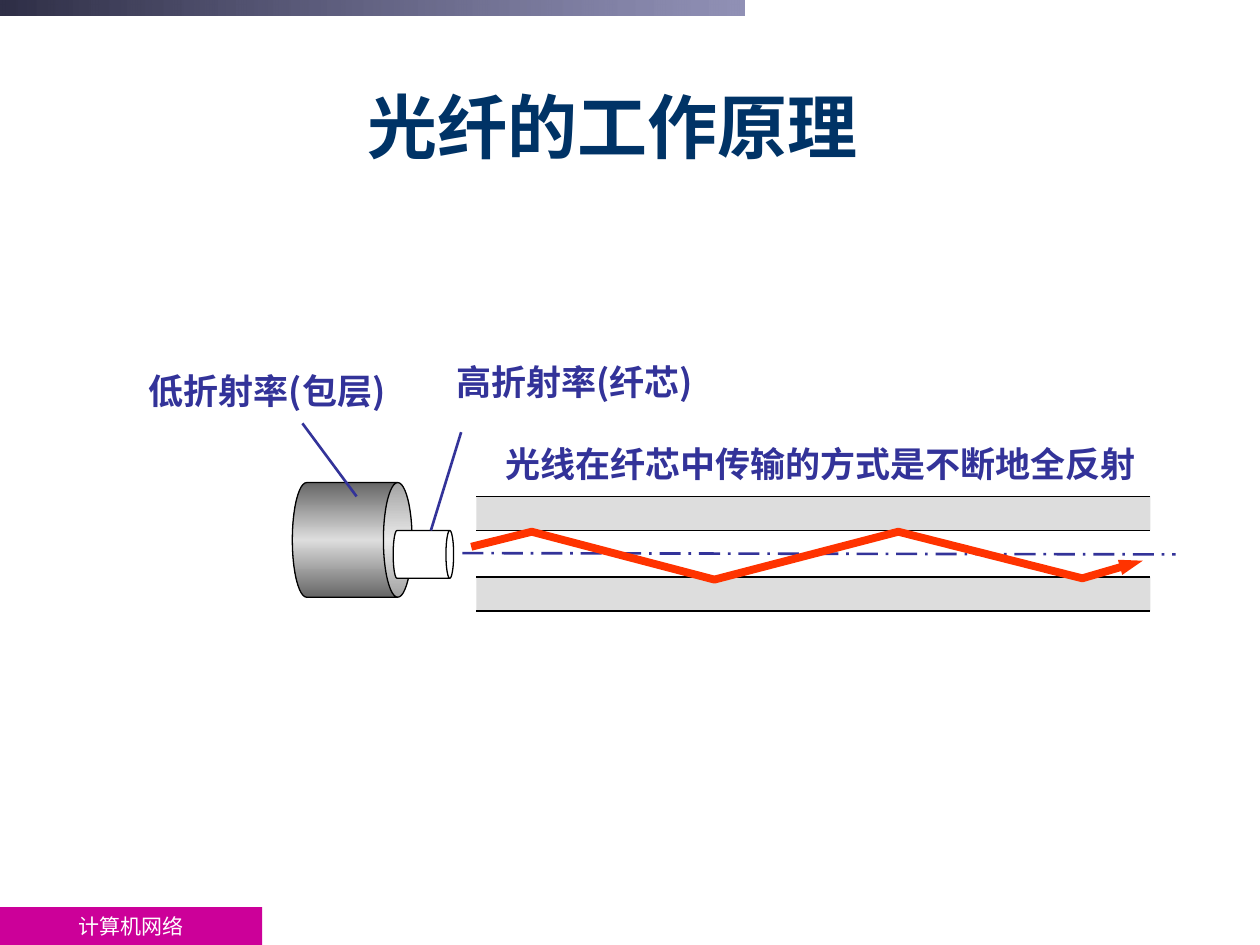
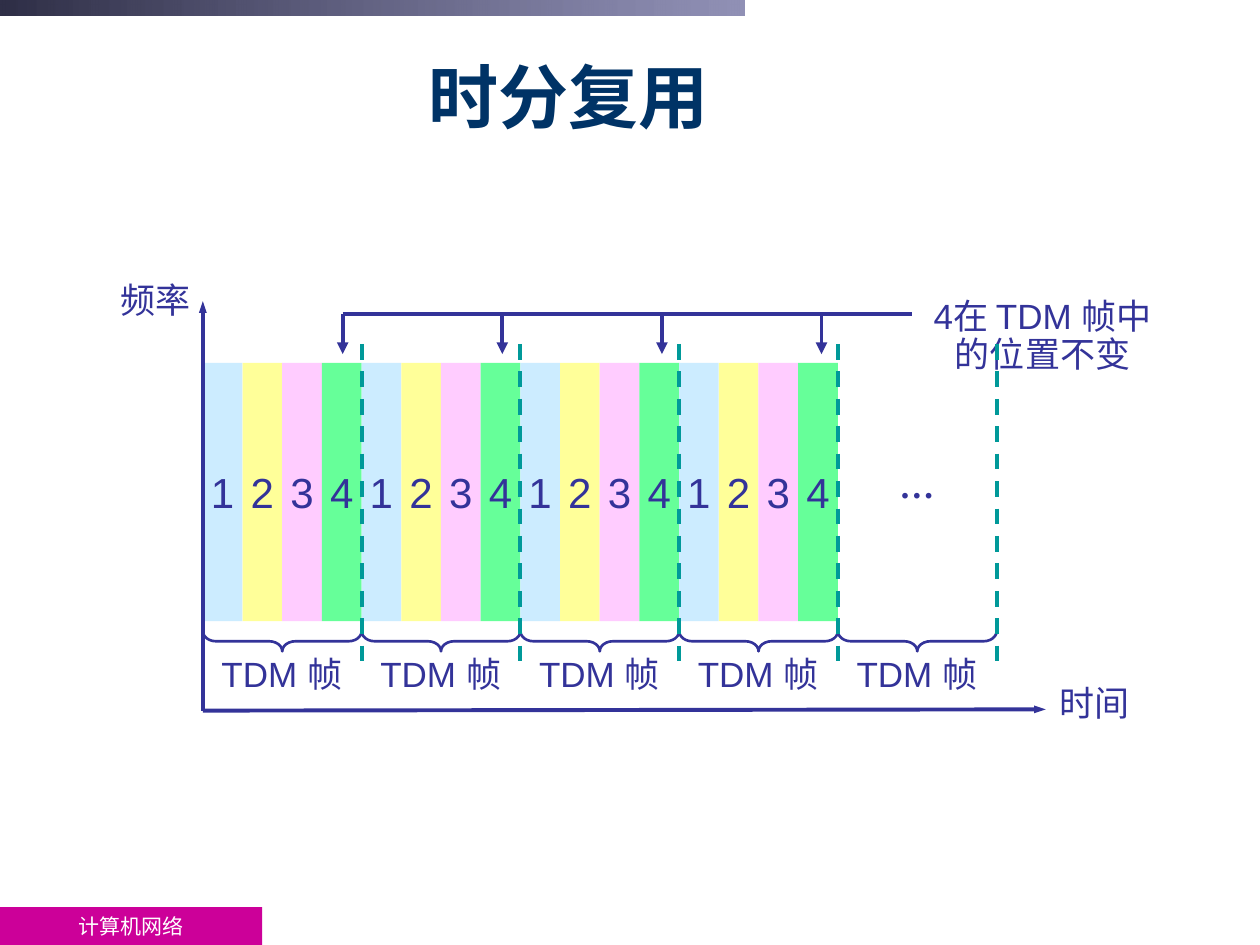
from lxml import etree
from pptx import Presentation, util as u
from pptx.dml.color import RGBColor
from pptx.enum import dml, shapes, text
from pptx.oxml import ns

W, H = 10, 7.5
CJK = "Noto Sans CJK SC"
INK, NAVY, MAGENTA, WHITE, BLACK = "333399", "003366", "CC0099", "FFFFFF", "000000"
GREY, DARK_GREY, TEAL, RAY_RED = "DDDDDD", "666666", "009999", "FF3300"
SLOT_FILLS = ["CCECFF", "FFFF99", "FFCCFF", "66FF99"]
CENTER, LEFT = text.PP_ALIGN.CENTER, text.PP_ALIGN.LEFT
MIDDLE = text.MSO_ANCHOR.MIDDLE


def color(value):
    """Turn a hex string into a colour."""
    return RGBColor.from_string(value)


def inches(*lengths):
    """Convert lengths in tenths of the slide width to EMU."""
    return [u.Emu(round(n * u.Inches(W) / 10)) for n in lengths]


def add_xml(parent, tag, **attributes):
    """Append a DrawingML element to its parent."""
    return etree.SubElement(parent, ns.qn(tag), attributes)


def write(tf, lines, size, hue=INK, font="Arial", bold=False, align=CENTER, spacing=None):
    """Fill a text frame with one formatted run per line."""
    for i, line in enumerate(lines):
        p = tf.add_paragraph() if i else tf.paragraphs[0]
        p.alignment = align
        if spacing:
            p.line_spacing = spacing
        r = p.add_run()
        r.text = line
        r.font.size, r.font.bold, r.font.name = u.Pt(size), bold, font
        r.font.color.rgb = color(hue)
        add_xml(r.font._element, "a:ea", typeface=CJK)


def set_line(line, hue, width, dash=None, arrow=None):
    """Style a line and give it an arrowhead of the named width."""
    line.color.rgb = color(hue)
    line.width = u.Pt(width)
    if dash:
        line.dash_style = dash
    if arrow:
        add_xml(line._get_or_add_ln(), "a:tailEnd", type="triangle", w=arrow, len="med")


def add_box(s, box, fill=None, kind=shapes.MSO_SHAPE.RECTANGLE, line=None, turn=0):
    """Add a flat preset shape."""
    sp = s.shapes.add_shape(kind, *inches(*box))
    sp.shadow.inherit = False
    sp.rotation = turn
    if fill:
        sp.fill.solid()
        sp.fill.fore_color.rgb = color(fill)
    else:
        sp.fill.background()
    if line:
        set_line(sp.line, *line)
    else:
        sp.line.fill.background()
    return sp


def set_gradient(sp, stops):
    """Replace a solid fill by a left-to-right gradient of (place, colour, opacity)."""
    solid = sp.element.spPr.find(ns.qn("a:solidFill"))
    grad = etree.Element(ns.qn("a:gradFill"), rotWithShape="1")
    gs_list = add_xml(grad, "a:gsLst")
    for place, hue, opacity in stops:
        gs = add_xml(gs_list, "a:gs", pos=str(place * 1000))
        clr = add_xml(gs, "a:srgbClr", val=hue)
        if opacity < 100:
            add_xml(clr, "a:alpha", val=str(opacity * 1000))
    add_xml(grad, "a:lin", ang="0", scaled="0")
    solid.getparent().replace(solid, grad)


def add_line(s, start, end, hue=INK, width=2.25, dash=None, arrow=None):
    """Add a straight connector without a shadow."""
    cx = s.shapes.add_connector(shapes.MSO_CONNECTOR.STRAIGHT, *inches(*start, *end))
    set_line(cx.line, hue, width, dash, arrow)
    add_xml(cx.element.spPr, "a:effectLst")


def add_label(s, box, *lines, wrap=False, **style):
    """Add a text box that fits its text."""
    tf = s.shapes.add_textbox(*inches(*box)).text_frame
    tf.word_wrap = wrap
    tf.auto_size = text.MSO_AUTO_SIZE.SHAPE_TO_FIT_TEXT
    write(tf, lines, 20, **style)


def add_slide(prs, title, box):
    """Add a slide with a placed title."""
    s = prs.slides.add_slide(prs.slide_layouts[5])
    sp = s.shapes.title
    sp.left, sp.top, sp.width, sp.height = inches(*box)
    tf = sp.text_frame
    tf.auto_size, tf.vertical_anchor = text.MSO_AUTO_SIZE.NONE, MIDDLE
    write(tf, [title], 40, NAVY, bold=True)
    return s


def decorate_master(prs, s):
    """Build the footer and top band and move them to the slide master."""
    footer = add_box(s, (0, H - 0.3, 2.08, 0.3), MAGENTA)
    footer.text_frame.vertical_anchor = MIDDLE
    write(footer.text_frame, ["计算机网络"], 12, WHITE, "Times New Roman")
    band = add_box(s, (0, 0, 5.91, 0.12), WHITE)
    set_gradient(band, [(0, "2F2F47", 100), (100, "666699", 72)])
    for sp in (footer, band):
        prs.slide_master.shapes.element.append(sp.element)


def add_can(s, box, depth, fill):
    """Add a cylinder lying on its side."""
    sp = add_box(s, box, fill, shapes.MSO_SHAPE.CAN, (BLACK, 0.75), 90)
    sp.adjustments[0] = depth
    return sp


def add_ray(s, points):
    """Draw the reflected ray as an open path with an arrowhead."""
    first, *rest = [inches(*point) for point in points]
    builder = s.shapes.build_freeform(*first)
    builder.add_line_segments(rest, close=False)
    sp = builder.convert_to_shape()
    sp.shadow.inherit = False
    sp.fill.background()
    set_line(sp.line, RAY_RED, 4.5, arrow="sm")


def draw_fibre(s):
    """Draw the cable end, the section of the fibre and the ray in its core."""
    left, right = 3.78, 9.13
    walls = [3.94, 4.21, 4.58, 4.85]
    for top, bottom, fill in zip(walls, walls[1:], [GREY, WHITE, GREY]):
        add_box(s, (left, top, right - left, bottom - top), fill)
    cladding = add_can(s, (2.34, 3.81, 0.91, 0.95), 0.25, GREY)
    set_gradient(cladding, [(0, DARK_GREY, 100), (50, GREY, 100), (100, DARK_GREY, 100)])
    add_can(s, (3.17, 4.16, 0.38, 0.48), 0.16, WHITE)
    for y in walls:
        add_line(s, (left, y), (right, y), BLACK, 0.75)
    add_line(s, (3.67, 4.39), (9.33, 4.4), width=1.5, dash=dml.MSO_LINE.LONG_DASH_DOT)

    bold = dict(font=CJK, bold=True)
    add_label(s, (3.36, 2.81, 2.4, 0.44), "高折射率(纤芯)", **bold)
    add_label(s, (0.92, 2.88, 2.4, 0.44), "低折射率(包层)", **bold)
    add_line(s, (3.66, 3.43), (3.42, 4.21), width=1.5)
    add_line(s, (2.4, 3.36), (2.83, 3.94), width=1.5)
    add_label(s, (3.91, 3.46, 5.21, 0.44), "光线在纤芯中传输的方式是不断地全反射", align=LEFT, **bold)
    add_ray(s, [(3.74, 4.34), (4.22, 4.22), (5.67, 4.6), (7.13, 4.22), (8.59, 4.59), (9.07, 4.45)])


def draw_frame(s, left, width, filled):
    """Draw the slots, brace and label of one TDM frame."""
    slot = width / len(SLOT_FILLS)
    for i, fill in enumerate(SLOT_FILLS if filled else []):
        sp = add_box(s, (left + i * slot, 2.88, slot, 2.05), fill)
        sp.text_frame.word_wrap = False
        sp.text_frame.vertical_anchor = MIDDLE
        write(sp.text_frame, [str(i + 1)], 24)
    depth, middle = 0.16, left + width / 2
    brace_box = (middle - depth / 2, 5.09 - width / 2, depth, width)
    brace = add_box(s, brace_box, None, shapes.MSO_SHAPE.RIGHT_BRACE, (INK, 1.5), 90)
    brace.adjustments[0] = 0.65
    add_label(s, (left + 0.05, 5.17, 1.26, 0.4), "TDM 帧", align=LEFT, spacing=0.9)


def draw_time_slots(s):
    """Draw the axes, the TDM frames and the arrows to slot 4."""
    origin, base, frame, count = 1.61, 5.64, 1.26, 5
    lefts = [origin + i * frame for i in range(count)]
    axis_style = dict(font="Times New Roman", align=LEFT, spacing=0.9)
    add_line(s, (origin, base), (8.3, base - 0.01), arrow="sm")
    add_label(s, (0.86, 2.2, 0.79, 0.4), "频率", **axis_style)
    add_label(s, (8.31, 5.4, 0.79, 0.4), "时间", **axis_style)
    for left in lefts:
        draw_frame(s, left, frame, left != lefts[-1])
    add_label(s, (7.17, 2.33, 2.21, 0.7), "4在 TDM 帧中", "的位置不变", spacing=0.9)
    bus, first_drop, last_drop = 2.49, 2.72, 6.52
    add_line(s, (first_drop, bus), (7.24, bus))
    for i in range(count - 1):
        x = first_drop + i * (last_drop - first_drop) / (count - 2)
        add_line(s, (x, bus), (x, 2.81), arrow="med")
    add_label(s, (7.04, 3.63, 0.48, 0.43), "…", wrap=True, font="Times New Roman", bold=True, align=LEFT)
    add_line(s, (origin, base), (origin, 2.39), arrow="sm")
    for left in lefts:
        add_line(s, (left + frame, 2.73), (left + frame, 5.32), TEAL, dash=dml.MSO_LINE.DASH)


def main():
    """Build both slides and save them."""
    prs = Presentation()
    prs.slide_width, prs.slide_height = u.Inches(W), u.Inches(H)
    s = add_slide(prs, "光纤的工作原理", (1.49, 0.6, 6.74, 0.79))
    decorate_master(prs, s)
    draw_fibre(s)
    draw_time_slots(add_slide(prs, "时分复用", (0.14, 0.29, 8.74, 0.93)))
    prs.save("out.pptx")


if __name__ == "__main__":
    main()
